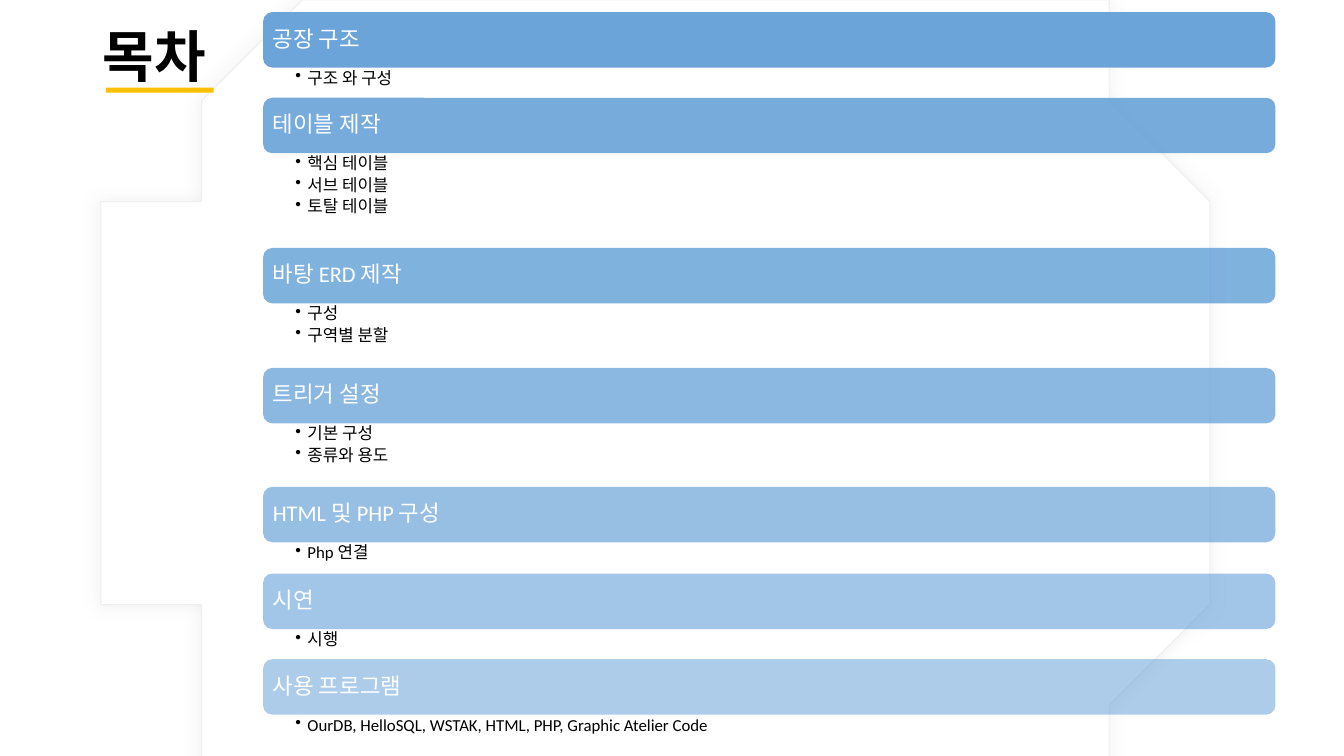
from dataclasses import dataclass

from lxml.etree import SubElement
from pptx import Presentation
from pptx.dml.color import RGBColor
from pptx.enum.shapes import MSO_SHAPE
from pptx.enum.text import MSO_ANCHOR, MSO_AUTO_SIZE, PP_ALIGN
from pptx.oxml.ns import qn
from pptx.util import Inches, Pt

WHITE = RGBColor(0xFF, 0xFF, 0xFF)
BLACK = RGBColor(0x00, 0x00, 0x00)
BLUE = RGBColor(0x5B, 0x9B, 0xD5)
AMBER = RGBColor(0xFF, 0xC0, 0x00)
OUTLINE_GRAY = RGBColor(0xEF, 0xEF, 0xEF)
SHADOW_GRAY = RGBColor(0xD9, 0xD9, 0xD9)

KOREAN_FONT = "Noto Sans CJK KR"
LEFT, WIDTH = 2.61, 10.04
FIRST_TOP, BAR_HEIGHT = 0.12, 0.55
FIRST_ALPHA, LAST_ALPHA = 90, 50
CURVE_STEPS = 24

TITLE_FORMAT = {"size": Pt(40), "bold": True, "name": KOREAN_FONT}
HEADING_FORMAT = {"size": Pt(16), "name": "Calibri"}
TOPIC_FORMAT = {"size": Pt(12), "name": "Calibri"}
HEADING_FRAME = {
    "word_wrap": True, "vertical_anchor": MSO_ANCHOR.MIDDLE,
    "margin_left": Inches(0.07), "margin_right": Inches(0.07),
    "margin_top": Inches(0.07), "margin_bottom": Inches(0.07),
}
TOPIC_FRAME = {
    "word_wrap": True, "vertical_anchor": MSO_ANCHOR.TOP,
    "margin_left": Inches(0.32), "margin_right": Inches(0.12),
    "margin_top": Inches(0.02), "margin_bottom": Inches(0.02),
}

Point = tuple[float, float]


@dataclass(frozen=True)
class Section:
    heading: str
    topics: tuple[str, ...]
    topics_height: float
    topic_font: str = "Calibri"


@dataclass(frozen=True)
class Curve:
    start: Point
    control_1: Point
    control_2: Point
    end: Point


SECTIONS = (
    Section("공장 구조", ("구조 와 구성",), 0.3),
    Section("테이블 제작", ("핵심 테이블", "서브 테이블", "토탈 테이블"), 0.94),
    Section("바탕 ERD 제작", ("구성", "구역별 분할"), 0.64),
    Section("트리거 설정", ("기본 구성", "종류와 용도"), 0.63, "Times New Roman"),
    Section("HTML 및 PHP 구성", ("Php 연결",), 0.31),
    Section("시연", ("시행",), 0.3),
    Section("사용 프로그램",
            ("OurDB, HelloSQL, WSTAK, HTML, PHP, Graphic Atelier Code",), 0.29),
)

RIGHT_ARC = (
    Curve((10.52, 0.14), (11.5, 1.13), (12.11, 2.49), (12.11, 3.99)),
    Curve((12.11, 3.99), (12.11, 5.31), (11.65, 6.52), (10.87, 7.46)),
)
LEFT_ARC = (
    Curve((2.46, 7.46), (1.69, 6.52), (1.22, 5.31), (1.22, 3.99)),
    Curve((1.22, 3.99), (1.22, 2.49), (1.83, 1.13), (2.81, 0.14)),
)


def apply_format(target, values: dict) -> None:
    for attribute, value in values.items():
        setattr(target, attribute, value)


def write_run(paragraph, text: str, font_format: dict, color: RGBColor) -> None:
    run = paragraph.add_run()
    run.text = text
    apply_format(run.font, font_format)
    run.font.color.rgb = color
    east_asian = SubElement(run.font._element, qn("a:ea"))
    east_asian.set("typeface", KOREAN_FONT)


def set_spacing(paragraph, after_percent: int) -> None:
    paragraph.alignment = PP_ALIGN.LEFT
    paragraph.line_spacing = 0.9
    space_after = SubElement(paragraph._p.get_or_add_pPr(), qn("a:spcAft"))
    SubElement(space_after, qn("a:spcPct")).set("val", str(after_percent * 1000))


def set_bullet(paragraph) -> None:
    paragraph.level = 1
    properties = paragraph._p.get_or_add_pPr()
    properties.set("marL", str(Inches(0.12)))
    properties.set("indent", str(-Inches(0.12)))
    SubElement(properties, qn("a:buChar")).set("char", "•")


def add_filled_shape(slide, preset: MSO_SHAPE, left: float, top: float,
                     width: float, height: float, color: RGBColor):
    shape = slide.shapes.add_shape(
        preset, Inches(left), Inches(top), Inches(width), Inches(height))
    shape.shadow.inherit = False
    shape.fill.solid()
    shape.fill.fore_color.rgb = color
    shape.line.fill.background()
    return shape


def sample_curve(curve: Curve) -> list[Point]:
    """Return points along a cubic Bezier curve, both ends included."""
    points = []
    for step in range(CURVE_STEPS + 1):
        t = step / CURVE_STEPS
        weights = ((1 - t) ** 3, 3 * t * (1 - t) ** 2, 3 * t ** 2 * (1 - t), t ** 3)
        anchors = (curve.start, curve.control_1, curve.control_2, curve.end)
        points.append((sum(w * x for w, (x, _) in zip(weights, anchors)),
                       sum(w * y for w, (_, y) in zip(weights, anchors))))
    return points


def add_backdrop(slide):
    right, left = ([point for curve in arc for point in sample_curve(curve)]
                   for arc in (RIGHT_ARC, LEFT_ARC))
    builder = slide.shapes.build_freeform(2.96, 0, scale=Inches(1))
    builder.add_line_segments(
        [(10.37, 0), *right, (10.84, 7.5), (2.5, 7.5), *left], close=True)
    backdrop = builder.convert_to_shape()
    backdrop.fill.solid()
    backdrop.fill.fore_color.rgb = WHITE
    backdrop.line.color.rgb = OUTLINE_GRAY
    backdrop.line.width = Pt(0.75)
    backdrop.shadow.inherit = False
    effects = backdrop._element.spPr.find(qn("a:effectLst"))
    glow = SubElement(effects, qn("a:outerShdw"), blurRad=str(Pt(11)), dist="0",
                      dir="0", algn="ctr", rotWithShape="0")
    tint = SubElement(glow, qn("a:srgbClr"), val=str(SHADOW_GRAY))
    SubElement(tint, qn("a:alpha"), val="38000")
    return backdrop


def add_title(slide) -> None:
    title = slide.shapes.title
    apply_format(title, {"left": Inches(0.92), "top": Inches(0),
                         "width": Inches(11.49), "height": Inches(1.18)})
    apply_format(title.text_frame, {"vertical_anchor": MSO_ANCHOR.MIDDLE,
                                    "auto_size": MSO_AUTO_SIZE.NONE})
    paragraph = title.text_frame.paragraphs[0]
    apply_format(paragraph, {"alignment": PP_ALIGN.LEFT, "line_spacing": 0.9})
    write_run(paragraph, "목차", TITLE_FORMAT, BLACK)


def add_section(slide, section: Section, top: float, alpha: float) -> None:
    bar = add_filled_shape(slide, MSO_SHAPE.ROUNDED_RECTANGLE,
                           LEFT, top, WIDTH, BAR_HEIGHT, BLUE)
    bar_color = bar._element.spPr.find(qn("a:solidFill"))[0]
    SubElement(bar_color, qn("a:alpha")).set("val", str(round(alpha * 1000)))
    apply_format(bar.text_frame, HEADING_FRAME)
    heading = bar.text_frame.paragraphs[0]
    set_spacing(heading, 35)
    write_run(heading, section.heading, HEADING_FORMAT, WHITE)

    topics = slide.shapes.add_textbox(
        Inches(LEFT), Inches(top + BAR_HEIGHT),
        Inches(WIDTH), Inches(section.topics_height)).text_frame
    apply_format(topics, TOPIC_FRAME)
    for index, topic in enumerate(section.topics):
        paragraph = topics.add_paragraph() if index else topics.paragraphs[0]
        set_spacing(paragraph, 20)
        set_bullet(paragraph)
        write_run(paragraph, topic, TOPIC_FORMAT | {"name": section.topic_font}, BLACK)


def main() -> None:
    presentation = Presentation()
    presentation.slide_width = Inches(13.33)
    presentation.slide_height = Inches(7.5)
    slide = presentation.slides.add_slide(presentation.slide_layouts[5])

    add_title(slide)
    backdrop = add_backdrop(slide)
    slide.shapes.title._element.addprevious(backdrop._element)

    top = FIRST_TOP
    alpha_step = (FIRST_ALPHA - LAST_ALPHA) / (len(SECTIONS) - 1)
    for index, section in enumerate(SECTIONS):
        add_section(slide, section, top, FIRST_ALPHA - index * alpha_step)
        top += BAR_HEIGHT + section.topics_height

    add_filled_shape(slide, MSO_SHAPE.RECTANGLE, 1.05, 0.87, 1.07, 0.05, AMBER)
    presentation.save("out.pptx")


if __name__ == "__main__":
    main()
